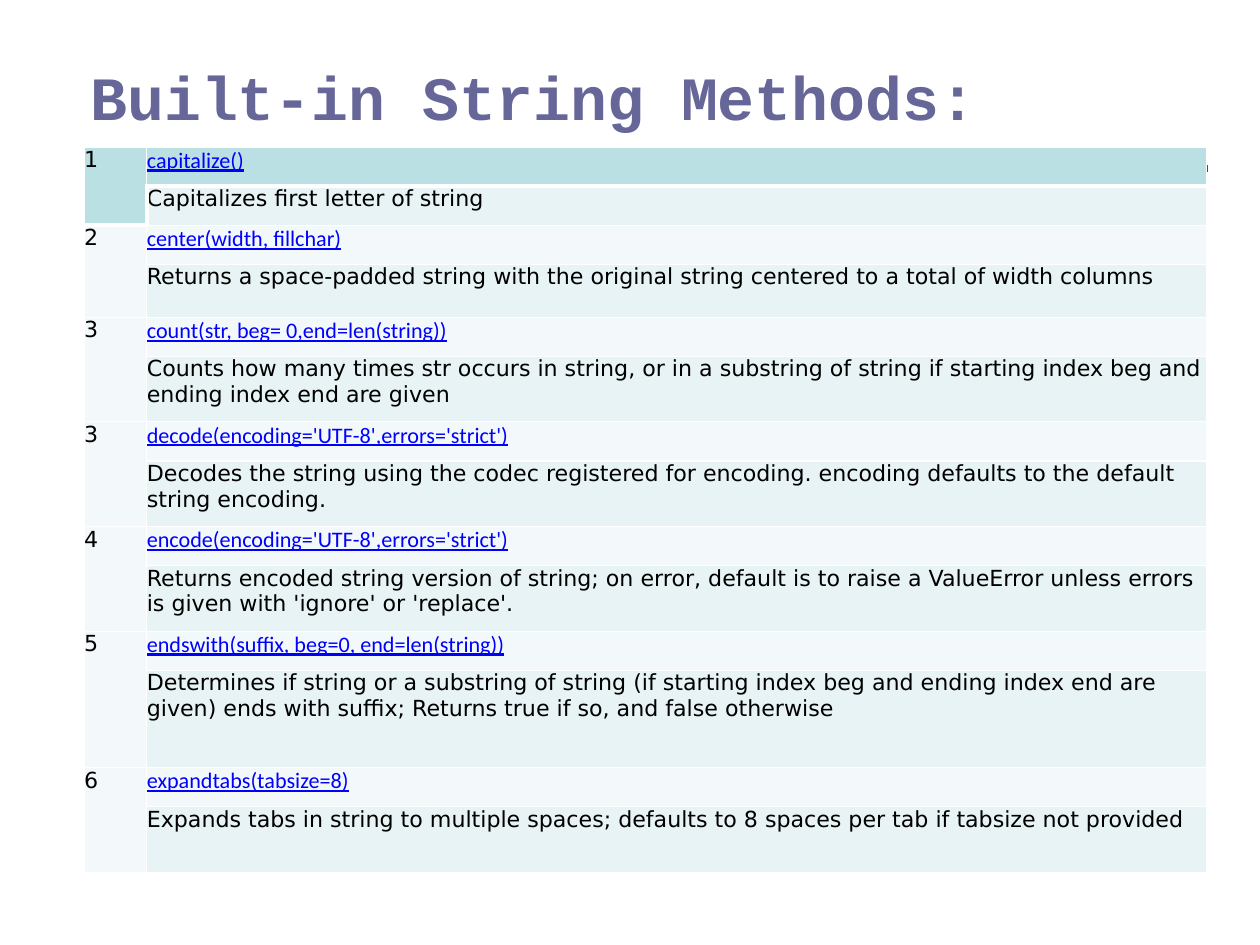
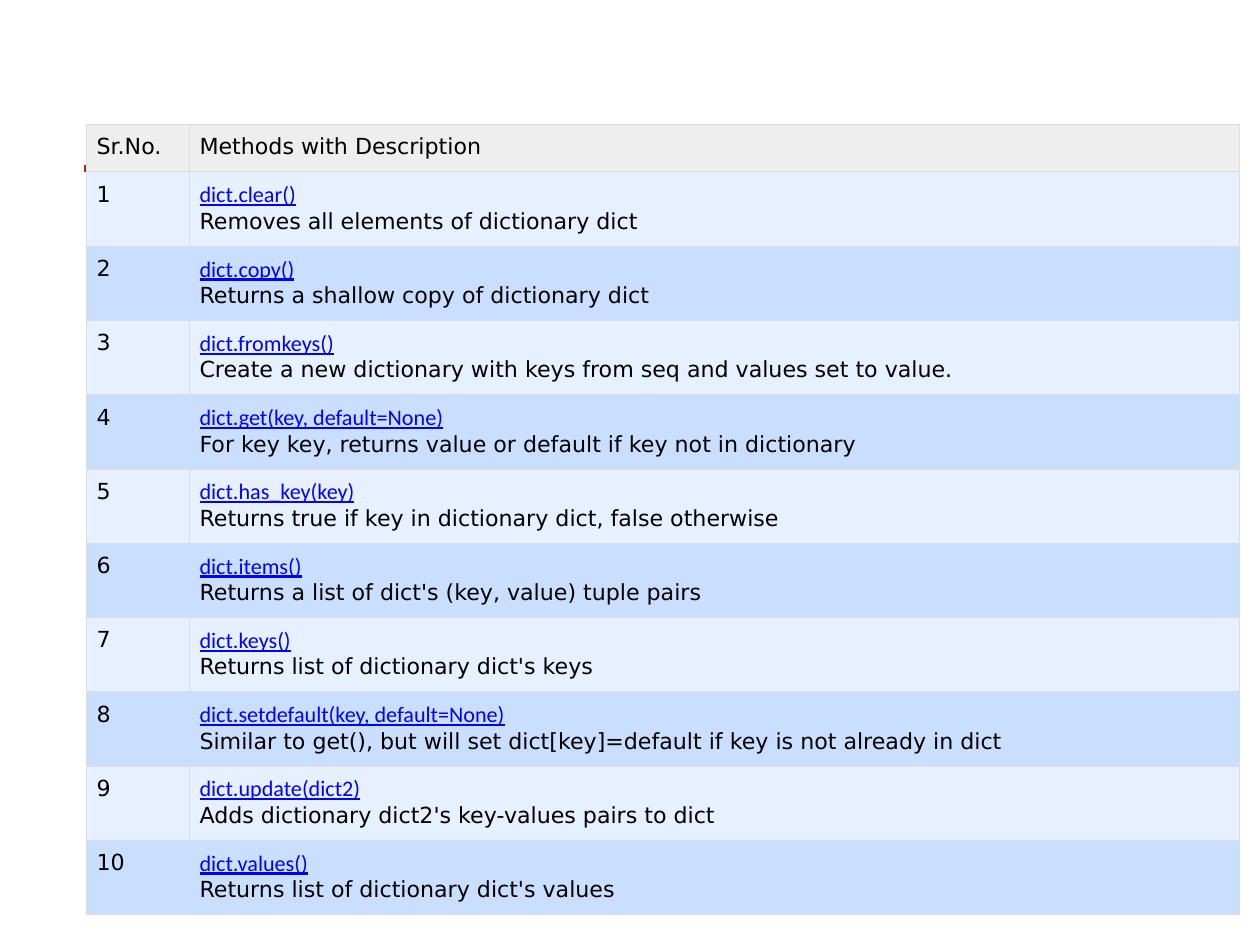
from lxml.etree import SubElement
from pptx import Presentation
from pptx.dml.color import RGBColor
from pptx.enum.shapes import MSO_CONNECTOR
from pptx.enum.text import MSO_ANCHOR
from pptx.oxml.ns import qn
from pptx.util import Cm, Pt

RULE_RED = RGBColor(0x99, 0x33, 0x00)
TITLE_PURPLE = RGBColor(0x66, 0x66, 0x99)
BLACK = RGBColor(0x00, 0x00, 0x00)
WHITE = RGBColor(0xFF, 0xFF, 0xFF)
LINK_BLUE = RGBColor(0x00, 0x00, 0xFF)
TEAL = RGBColor(0xBB, 0xE0, 0xE3)
TEAL_LIGHT = RGBColor(0xE7, 0xF3, 0xF4)
TEAL_PALE = RGBColor(0xF3, 0xF9, 0xFA)
GRID_GREY = RGBColor(0xDD, 0xDD, 0xDD)
HEADER_GREY = RGBColor(0xEE, 0xEE, 0xEE)
BLUE_PALE = RGBColor(0xE6, 0xF0, 0xFF)
BLUE_LIGHT = RGBColor(0xCA, 0xDF, 0xFF)

TITLE = {"name": "Courier New", "size": Pt(50), "bold": True}
BODY = {"name": "DejaVu Sans", "size": Pt(18), "bold": False}
LINK = {"name": "Calibri", "size": Pt(18), "bold": False, "underline": True}

STRING_METHODS = [  # number, signature, description, description row height in cm
    ("1", "capitalize()", "Capitalizes first letter of string", 1.12),
    ("2", "center(width, fillchar)",
     "Returns a space-padded string with the original string centered to a total of "
     "width columns", 1.52),
    ("3", "count(str, beg= 0,end=len(string))",
     "Counts how many times str occurs in string, or in a substring of string if "
     "starting index beg and ending index end are given", 1.88),
    ("3", "decode(encoding='UTF-8',errors='strict')",
     "Decodes the string using the codec registered for encoding. encoding defaults "
     "to the default string encoding.", 1.88),
    ("4", "encode(encoding='UTF-8',errors='strict')",
     "Returns encoded string version of string; on error, default is to raise a "
     "ValueError unless errors is given with 'ignore' or 'replace'.", 1.88),
    ("5", "endswith(suffix, beg=0, end=len(string))",
     "Determines if string or a substring of string (if starting index beg and ending "
     "index end are given) ends with suffix; Returns true if so, and false otherwise",
     2.79),
    ("6", "expandtabs(tabsize=8)",
     "Expands tabs in string to multiple spaces; defaults to 8 spaces per tab if "
     "tabsize not provided", 1.88),
]
SIGNATURE_HEIGHT = 1.12

DICT_METHODS = [
    ("dict.clear()", "Removes all elements of dictionary dict"),
    ("dict.copy()", "Returns a shallow copy of dictionary dict"),
    ("dict.fromkeys()",
     "Create a new dictionary with keys from seq and values set to value."),
    ("dict.get(key, default=None)",
     "For key key, returns value or default if key not in dictionary"),
    ("dict.has_key(key)", "Returns true if key in dictionary dict, false otherwise"),
    ("dict.items()", "Returns a list of dict's (key, value) tuple pairs"),
    ("dict.keys()", "Returns list of dictionary dict's keys"),
    ("dict.setdefault(key, default=None)",
     "Similar to get(), but will set dict[key]=default if key is not already in dict"),
    ("dict.update(dict2)", "Adds dictionary dict2's key-values pairs to dict"),
    ("dict.values()", "Returns list of dictionary dict's values"),
]


def write(frame, lines, inset):
    """Fill a cell or text frame with (text, format, colour) paragraphs."""
    for side in ("left", "right", "top", "bottom"):
        setattr(frame, f"margin_{side}", inset)
    text_frame = getattr(frame, "text_frame", frame)
    for index, (text, font_format, color) in enumerate(lines):
        paragraph = text_frame.add_paragraph() if index else text_frame.paragraphs[0]
        run = paragraph.add_run()
        run.text = text
        for attribute, value in font_format.items():
            setattr(run.font, attribute, value)
        run.font.color.rgb = color


def fill_cell(cell, lines, fill, inset, border_color, thick_sides=""):
    """Write a cell with 1 pt borders, or 4 pt on the sides named by L, R, T, B."""
    write(cell, lines, inset)
    cell.vertical_anchor = MSO_ANCHOR.TOP
    properties = cell._tc.get_or_add_tcPr()
    for side in "LRTB":
        width = Pt(4 if side in thick_sides else 1)
        border = SubElement(properties, qn(f"a:ln{side}"), w=str(width))
        solid = SubElement(border, qn("a:solidFill"))
        SubElement(solid, qn("a:srgbClr"), val=str(border_color))
    cell.fill.solid()
    cell.fill.fore_color.rgb = fill


deck = Presentation()
deck.slide_width, deck.slide_height = Cm(36.12), Cm(27.1)

string_rows = [h for *_, height in STRING_METHODS for h in (SIGNATURE_HEIGHT, height)]
dict_rows = [1.37] + [2.13] * len(DICT_METHODS)
tables = []
for left, top, columns, rows in (
    (2.41, 4.22, (1.8, 30.38), string_rows),
    (2.49, 3.56, (2.95, 30.1), dict_rows),
):
    slide = deck.slides.add_slide(deck.slide_layouts[6])
    rule = slide.shapes.add_connector(
        MSO_CONNECTOR.STRAIGHT, Cm(2.41), Cm(4.83), Cm(34.62), Cm(4.83))
    rule.line.color.rgb = RULE_RED
    rule.line.width = Pt(6)
    SubElement(rule._element.spPr, qn("a:effectLst"))

    table = slide.shapes.add_table(
        len(rows), len(columns), Cm(left), Cm(top), Cm(sum(columns)), Cm(sum(rows))).table
    table.first_row = table.horz_banding = False
    for column, width in zip(table.columns, columns):
        column.width = Cm(width)
    for row, height in zip(table.rows, rows):
        row.height = Cm(height)
    tables.append(table)

# Built-in string methods
title = deck.slides[0].shapes.add_textbox(Cm(2.41), Cm(1.5), Cm(32.21), Cm(4.52))
title.text_frame.word_wrap = True
write(title.text_frame, [("Built-in String Methods:", TITLE, TITLE_PURPLE)], Cm(0.18))

string_table = tables[0]
for index, (number, signature, description, _) in enumerate(STRING_METHODS):
    first = index == 0
    upper, lower = 2 * index, 2 * index + 1
    upper_fill = TEAL if first else TEAL_PALE
    number_sides = "B" if first else "T" if index == 1 else ""
    for row, column, lines, fill, thick_sides in (
        (upper, 0, [(number, BODY, BLACK)], upper_fill, number_sides),
        (lower, 0, [], upper_fill, "B" if first else ""),
        (upper, 1, [(signature, LINK, LINK_BLUE)], upper_fill, "B" if first else ""),
        (lower, 1, [(description, BODY, BLACK)], TEAL_LIGHT, "LT" if first else ""),
    ):
        fill_cell(string_table.cell(row, column), lines, fill, 0, WHITE, thick_sides)
    string_table.cell(upper, 0).merge(string_table.cell(lower, 0))

# Dictionary methods
dict_table = tables[1]
for column, heading in enumerate(("Sr.No.", "Methods with Description")):
    fill_cell(dict_table.cell(0, column), [(heading, BODY, BLACK)],
              HEADER_GREY, Cm(0.28), GRID_GREY)
for number, (signature, description) in enumerate(DICT_METHODS, start=1):
    fill = BLUE_PALE if number % 2 else BLUE_LIGHT
    method = [(signature, LINK, LINK_BLUE), (description, BODY, BLACK)]
    for column, lines in enumerate(([(str(number), BODY, BLACK)], method)):
        fill_cell(dict_table.cell(number, column), lines, fill, Cm(0.28), GRID_GREY)

deck.save("out.pptx")
